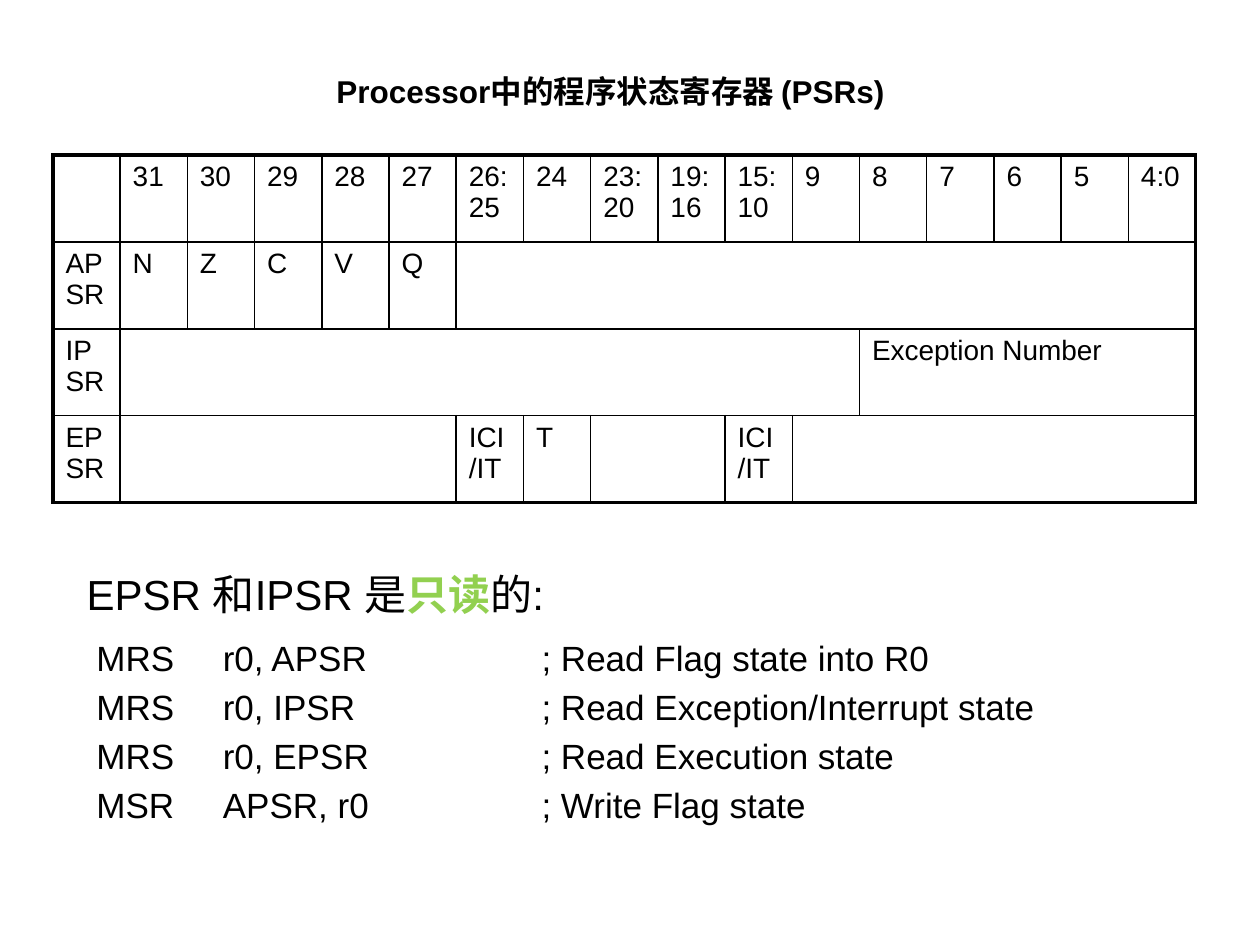
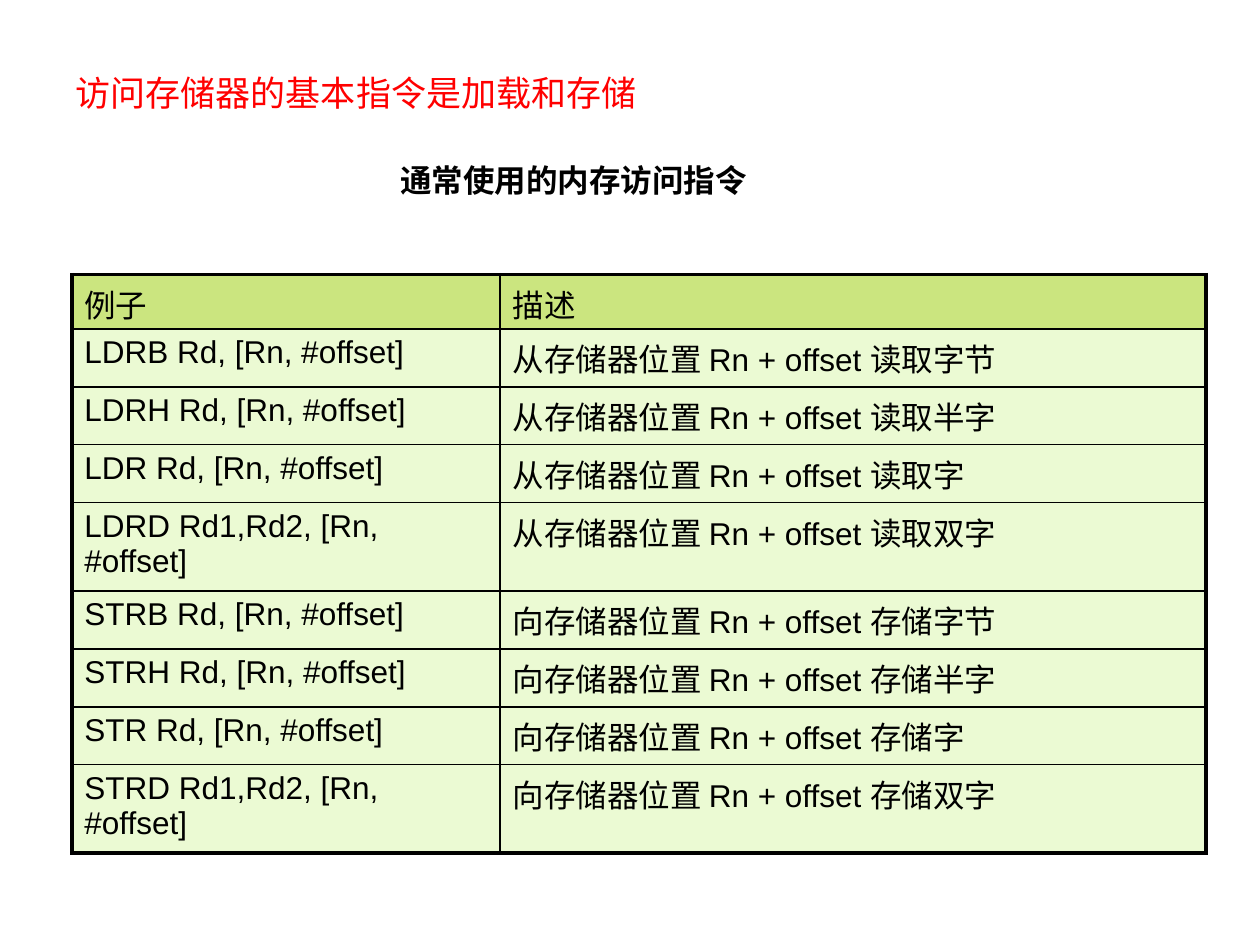
from dataclasses import dataclass
from typing import Optional, Sequence

from lxml.etree import SubElement
from pptx import Presentation
from pptx.dml.color import RGBColor
from pptx.enum.text import MSO_ANCHOR as Anchor, MSO_AUTO_SIZE as AutoSize, PP_ALIGN as Align
from pptx.oxml.ns import qn
from pptx.util import Inches, Pt


@dataclass(frozen=True)
class Theme:
    font: str = "Arial"
    ink: str = "000000"
    alert: str = "FF0000"
    accent: str = "92D050"
    header_fill: str = "99CC00"
    body_fill: str = "D8F6A8"
    fill_opacity: int = 50
    cell_size: int = 16
    heading_size: int = 18
    code_size: int = 20
    lead_size: int = 24
    outer_line: float = 2.25
    inner_line: float = 1


@dataclass(frozen=True)
class Box:
    left: float
    top: float
    width: float
    height: float

    def lengths(self) -> tuple:
        return tuple(Inches(v) for v in (self.left, self.top, self.width, self.height))


@dataclass(frozen=True)
class Field:
    """A table cell that may cover several columns."""
    text: str = ""
    span: int = 1
    fill: Optional[str] = None


THEME = Theme()
TITLE_ONLY = 5

BIT_LABELS = ("", "31", "30", "29", "28", "27", "26:25", "24", "23:20", "19:16",
              "15:10", "9", "8", "7", "6", "5", "4:0")
REGISTER_ROWS = [
    [Field(label) for label in BIT_LABELS],
    [*(Field(flag) for flag in ("APSR", "N", "Z", "C", "V", "Q")), Field(span=11)],
    [Field("IPSR"), Field(span=11), Field("Exception Number", 5)],
    [Field("EPSR"), Field(span=5), Field("ICI/IT"), Field("T"), Field(span=2),
     Field("ICI/IT"), Field(span=6)],
]
LISTING = (
    ("MRS", "r0, APSR", "; Read Flag state into R0"),
    ("MRS", "r0, IPSR", "; Read Exception/Interrupt state"),
    ("MRS", "r0, EPSR", "; Read Execution state"),
    ("MSR", "APSR, r0", "; Write Flag state"),
)
LISTING_TABS = (1.08, 3.61)

# Mnemonic suffix, register operand, data width
ACCESS_WIDTHS = (("B", "Rd", "字节"), ("H", "Rd", "半字"), ("", "Rd", "字"), ("D", "Rd1,Rd2", "双字"))
ACCESS_KINDS = (("LDR", "从", "读取"), ("STR", "向", "存储"))


def write(paragraph, text: str, *, size: float = THEME.heading_size, color: str = THEME.ink,
          bold: bool = False, align: Align = Align.LEFT, before: float = 0,
          tabs: Sequence[float] = ()) -> None:
    """Append a formatted run to the paragraph."""
    if tabs:
        stops = SubElement(paragraph._p.get_or_add_pPr(), qn("a:tabLst"))
        for stop in tabs:
            SubElement(stops, qn("a:tab"), pos=str(Inches(stop)), algn="l")
    paragraph.alignment = align
    paragraph.space_before = Pt(before)
    run = paragraph.add_run()
    run.text = text
    run.font.name = THEME.font
    run.font.size = Pt(size)
    run.font.bold = bold
    run.font.color.rgb = RGBColor.from_string(color)


def add_titled_slide(deck, title: str, box: Box, **text_format):
    slide = deck.slides.add_slide(deck.slide_layouts[TITLE_ONLY])
    heading = slide.shapes.title
    heading.left, heading.top, heading.width, heading.height = box.lengths()
    frame = heading.text_frame
    frame.auto_size = AutoSize.NONE
    frame.vertical_anchor = Anchor.TOP
    write(frame.paragraphs[0], title, **text_format)
    return slide


def add_text_frame(slide, box: Box):
    frame = slide.shapes.add_textbox(*box.lengths()).text_frame
    frame.word_wrap = True
    return frame


def set_borders(cell, thick_sides: Sequence[str]) -> None:
    properties = cell._tc.get_or_add_tcPr()
    for side in "LRTB":
        weight = THEME.outer_line if side in thick_sides else THEME.inner_line
        line = SubElement(properties, qn(f"a:ln{side}"), w=str(Pt(weight)))
        SubElement(SubElement(line, qn("a:solidFill")), qn("a:srgbClr"), val=THEME.ink)


def set_fill(cell, color: Optional[str]) -> None:
    if color is None:
        cell.fill.background()
        return
    cell.fill.solid()
    cell.fill.fore_color.rgb = RGBColor.from_string(color)
    tint = cell._tc.tcPr.find(f"{qn('a:solidFill')}/{qn('a:srgbClr')}")
    SubElement(tint, qn("a:alpha"), val=str(THEME.fill_opacity * 1000))


def add_grid(slide, left: float, top: float, widths: Sequence[float],
             heights: Sequence[float], rows: Sequence[Sequence[Field]], size: float) -> None:
    """Draw a table with a heavy frame and thin inner lines."""
    box = Box(left, top, sum(widths), sum(heights))
    grid = slide.shapes.add_table(len(heights), len(widths), *box.lengths()).table
    grid.first_row = grid.horz_banding = False
    for column, width in zip(grid.columns, widths):
        column.width = Inches(width)
    for row, height in zip(grid.rows, heights):
        row.height = Inches(height)
    for r, fields in enumerate(rows):
        start = 0
        for field in fields:
            end = start + field.span
            edges = {"L": start == 0, "R": end == len(widths),
                     "T": r == 0, "B": r == len(rows) - 1}
            thick_sides = [side for side, is_outer in edges.items() if is_outer]
            for c in range(start, end):
                set_borders(grid.cell(r, c), thick_sides)
                set_fill(grid.cell(r, c), field.fill)
            first = grid.cell(r, start)
            if field.span > 1:
                first.merge(grid.cell(r, end - 1))
            if field.text:
                write(first.text_frame.paragraphs[0], field.text, size=size)
            start = end


def add_status_registers(deck) -> None:
    slide = add_titled_slide(deck, "Processor中的程序状态寄存器 (PSRs)",
                             Box(1.5, 0.52, 6.69, 0.4), bold=True, align=Align.CENTER)
    columns = len(BIT_LABELS)
    add_grid(slide, 0.42, 1.23, [9.07 / columns] * columns, [0.69] * len(REGISTER_ROWS),
             REGISTER_ROWS, THEME.cell_size)

    frame = add_text_frame(slide, Box(0.59, 4.46, 9, 2.31))
    lead = frame.paragraphs[0]
    write(lead, "EPSR 和IPSR 是", size=THEME.lead_size)
    write(lead, "只读", size=THEME.lead_size, color=THEME.accent, bold=True)
    write(lead, "的:", size=THEME.lead_size)
    for i, parts in enumerate(LISTING):
        write(frame.add_paragraph(), " " + "\t".join(parts), size=THEME.code_size,
              before=4 if i else 10, tabs=LISTING_TABS)


def add_memory_access(deck) -> None:
    slide = add_titled_slide(deck, "访问存储器的基本指令是加载和存储",
                             Box(0.5, 0.52, 8.98, 0.44), size=THEME.code_size, color=THEME.alert)
    caption = add_text_frame(slide, Box(3.08, 1.23, 3, 0.4))
    write(caption.paragraphs[0], "通常使用的内存访问指令", bold=True)

    rows = [[Field(label, fill=THEME.header_fill) for label in ("例子", "描述")]]
    heights = [0.43]
    for mnemonic, direction, action in ACCESS_KINDS:
        for suffix, registers, unit in ACCESS_WIDTHS:
            example = f"{mnemonic}{suffix} {registers}, [Rn, #offset]"
            meaning = f"{direction}存储器位置 Rn + offset {action}{unit}"
            rows.append([Field(text, fill=THEME.body_fill) for text in (example, meaning)])
            heights.append(0.7 if suffix == "D" else 0.46)
    add_grid(slide, 0.57, 2.18, [3.4, 5.6], heights, rows, THEME.heading_size)


def main() -> None:
    deck = Presentation()
    deck.slide_width, deck.slide_height = Inches(10), Inches(7.5)
    add_status_registers(deck)
    add_memory_access(deck)
    deck.save("out.pptx")


if __name__ == "__main__":
    main()
